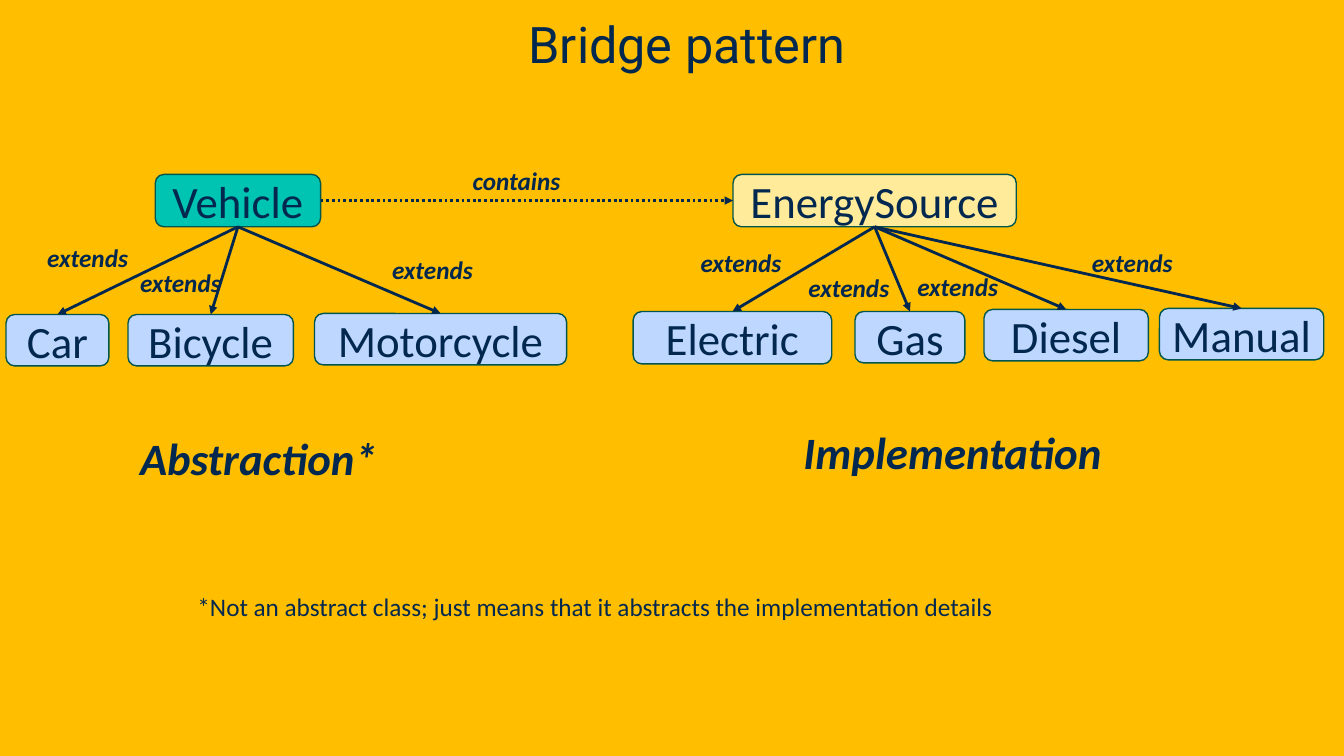
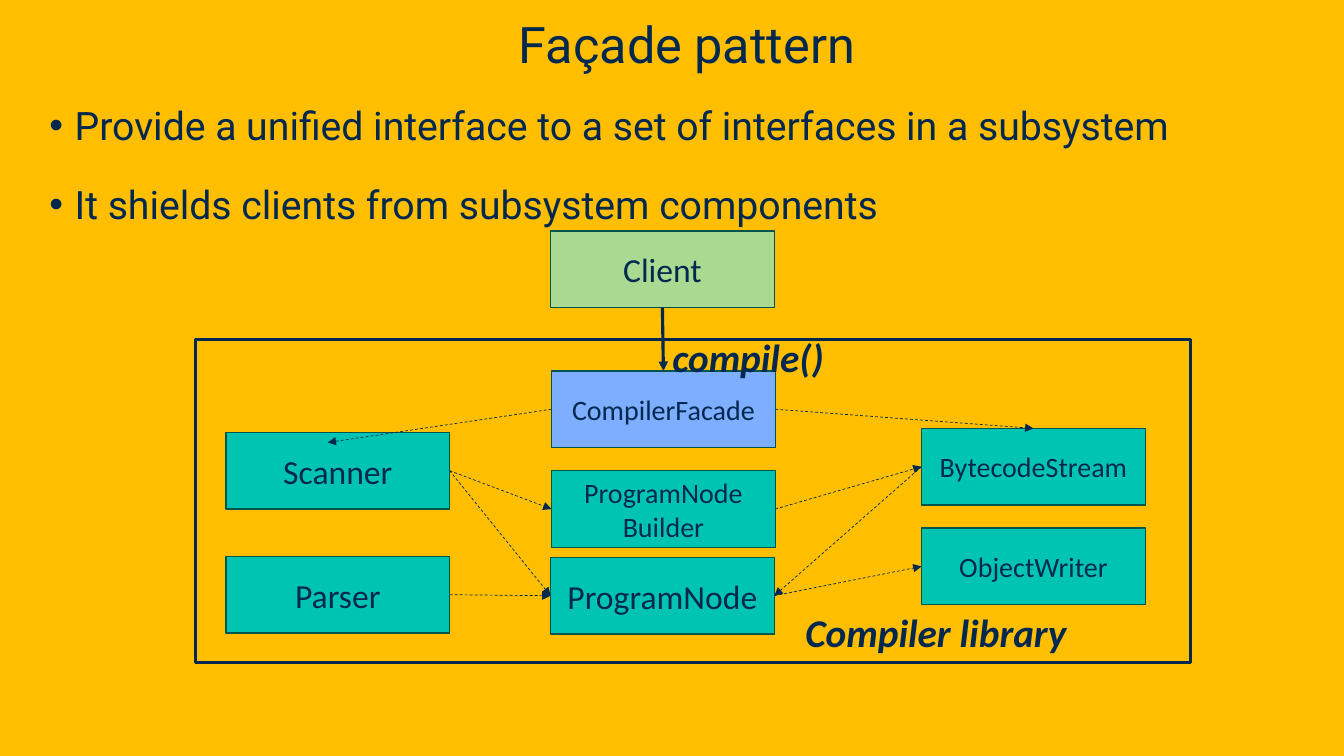
from dataclasses import dataclass

from lxml import etree
from pptx import Presentation
from pptx import util as u
from pptx.dml import color
from pptx.enum import dml, shapes, text
from pptx.oxml import ns


@dataclass(frozen=True)
class Theme:
    background: str = "FFBE00"
    ink: str = "022850"
    outline: str = "00564E"
    teal: str = "00C4B2"
    pale_blue: str = "BED7FF"
    blue: str = "7DAEFF"
    yellow: str = "FFEB99"
    green: str = "AADA91"
    heading_font: str = "Roboto"
    diagram_font: str = "Calibri"
    title_size: int = 36
    class_size: int = 32
    body_size: int = 28
    box_size: int = 24
    small_box_size: int = 20
    note_size: int = 18


THEME = Theme()
TITLE_ONLY, TITLE_AND_BODY = 5, 1
TOP, LEFT, BOTTOM, RIGHT = range(4)  # connection sites of a rectangle

# Bridge: name, fill, (left, top, width, height)
BRIDGE_CLASSES = [
    ("Vehicle", THEME.teal, (1.54, 1.73, 1.64, 0.52)),
    ("EnergySource", THEME.yellow, (7.27, 1.73, 2.81, 0.52)),
    ("Car", THEME.pale_blue, (0.06, 3.12, 1.02, 0.51)),
    ("Bicycle", THEME.pale_blue, (1.27, 3.12, 1.64, 0.51)),
    ("Motorcycle", THEME.pale_blue, (3.12, 3.11, 2.5, 0.51)),
    ("Electric", THEME.pale_blue, (6.28, 3.09, 1.97, 0.52)),
    ("Gas", THEME.pale_blue, (8.48, 3.09, 1.09, 0.51)),
    ("Diesel", THEME.pale_blue, (9.76, 3.07, 1.63, 0.51)),
    ("Manual", THEME.pale_blue, (11.5, 3.06, 1.63, 0.51)),
]
# Parent: each child with the place of its "extends" label
EXTENDS = {
    "Vehicle": [("Car", (0.37, 2.35)), ("Bicycle", (1.29, 2.6)),
                ("Motorcycle", (3.79, 2.47))],
    "EnergySource": [("Electric", (6.85, 2.4)), ("Gas", (7.92, 2.65)),
                     ("Diesel", (9, 2.64)), ("Manual", (10.73, 2.4))],
}
BRIDGE_CAPTIONS = [
    ("Abstraction*", (1.29, 4.22, 2.58, 0.64)),
    ("Implementation", (7.87, 4.16, 3.19, 0.64)),
]
BRIDGE_NOTE = "*Not an abstract class; just means that it abstracts the implementation details"

FACADE_POINTS = [
    "Provide a unified interface to a set of interfaces in a subsystem",
    "It shields clients from subsystem components",
]
# Facade: name, fill, text size, (left, top)
FACADE_BOX = (2.22, 0.76)
FACADE_CLASSES = [
    ("Client", THEME.green, THEME.box_size, (5.46, 2.29)),
    ("CompilerFacade", THEME.blue, THEME.small_box_size, (5.47, 3.68)),
    ("Scanner", THEME.teal, THEME.box_size, (2.24, 4.29)),
    ("Parser", THEME.teal, THEME.box_size, (2.24, 5.52)),
    ("ProgramNode", THEME.teal, THEME.box_size, (5.46, 5.53)),
    ("BytecodeStream", THEME.teal, THEME.small_box_size, (9.14, 4.25)),
    ("ProgramNode\nBuilder", THEME.teal, THEME.small_box_size, (5.47, 4.67)),
    ("ObjectWriter", THEME.teal, THEME.small_box_size, (9.14, 5.24)),
]
FACADE_USES = [
    ("Scanner", RIGHT, "ProgramNode\nBuilder", LEFT),
    ("Scanner", RIGHT, "ProgramNode", LEFT),
    ("Parser", RIGHT, "ProgramNode", LEFT),
    ("ProgramNode\nBuilder", RIGHT, "BytecodeStream", LEFT),
    ("BytecodeStream", LEFT, "ProgramNode", RIGHT),
    ("ProgramNode", RIGHT, "ObjectWriter", LEFT),
    ("CompilerFacade", RIGHT, "BytecodeStream", TOP),
]
SCANNER_ENTRY = (3.25, 4.39)
LIBRARY_FRAME = (1.94, 3.37, 9.87, 3.2)
FACADE_CAPTIONS = [
    ("Compiler library", (7.89, 5.99, 2.82, 0.57)),
    ("compile()", (6.57, 3.26, 1.72, 0.57)),
]


def rgb(value):
    return color.RGBColor.from_string(value)


def inches(values):
    return [u.Inches(value) for value in values]


def place(shape, area):
    shape.left, shape.top, shape.width, shape.height = inches(area)


def write(shape, content, size, font=THEME.diagram_font, emphasis=False,
          align=text.PP_ALIGN.LEFT, margin=0, indent=0, before=0, after=0, spacing=1.0):
    """Fill the shape with text, one paragraph per line."""
    shape.text_frame.text = content
    for paragraph in shape.text_frame.paragraphs:
        paragraph.alignment = align
        paragraph.space_before, paragraph.space_after = u.Pt(before), u.Pt(after)
        paragraph.line_spacing = spacing
        properties = paragraph._p.get_or_add_pPr()
        properties.set("marL", str(u.Inches(margin)))
        properties.set("indent", str(u.Inches(indent)))
        for run in paragraph.runs:
            run.font.name, run.font.size = font, u.Pt(size)
            run.font.bold = run.font.italic = emphasis
            run.font.color.rgb = rgb(THEME.ink)


def add_slide(presentation, layout, title):
    slide = presentation.slides.add_slide(presentation.slide_layouts[layout])
    shape = slide.shapes.title
    place(shape, (0, 0, 13.33, 0.76))
    frame = shape.text_frame
    frame.auto_size = text.MSO_AUTO_SIZE.NONE
    frame.vertical_anchor = text.MSO_ANCHOR.BOTTOM
    frame.margin_bottom = u.Inches(0.03)
    write(shape, title, THEME.title_size, font=THEME.heading_font,
          align=text.PP_ALIGN.CENTER, margin=0.3, before=25)
    return slide


def add_box(slide, kind, area, fill=None, line=THEME.outline, width=1):
    shape = slide.shapes.add_shape(kind, *inches(area))
    shape.shadow.inherit = False
    if fill:
        shape.fill.solid()
        shape.fill.fore_color.rgb = rgb(fill)
    else:
        shape.fill.background()
    shape.line.color.rgb = rgb(line)
    shape.line.width = u.Pt(width)
    return shape


def add_class(slide, kind, name, fill, size, area):
    shape = add_box(slide, kind, area, fill)
    shape.text_frame.vertical_anchor = text.MSO_ANCHOR.MIDDLE
    write(shape, name, size, align=text.PP_ALIGN.CENTER)
    return shape


def add_label(slide, content, area, size, emphasis=True):
    shape = slide.shapes.add_textbox(*inches(area))
    shape.text_frame.word_wrap = False
    shape.text_frame.auto_size = text.MSO_AUTO_SIZE.SHAPE_TO_FIT_TEXT
    write(shape, content, size, emphasis=emphasis)


def add_arrow(slide, start, start_site, width, end=None, end_site=TOP, point=None, dash=None):
    """Draw an arrow from a shape to another shape, or to a free point."""
    arrow = slide.shapes.add_connector(shapes.MSO_CONNECTOR.STRAIGHT, 0, 0, 0, 0)
    arrow.begin_connect(start, start_site)
    if point:
        arrow.end_x, arrow.end_y = inches(point)
    else:
        arrow.end_connect(end, end_site)
    arrow.line.color.rgb = rgb(THEME.ink)
    arrow.line.width = u.Pt(width)
    if dash:
        arrow.line.dash_style = dash
    etree.SubElement(arrow.line._get_or_add_ln(), ns.qn("a:tailEnd"), type="triangle")
    etree.SubElement(arrow._element.spPr, ns.qn("a:effectLst"))


def build_bridge(presentation):
    slide = add_slide(presentation, TITLE_ONLY, "Bridge pattern")
    classes = {name: add_class(slide, shapes.MSO_SHAPE.ROUNDED_RECTANGLE, name, fill,
                               THEME.class_size, area)
               for name, fill, area in BRIDGE_CLASSES}
    for parent, children in EXTENDS.items():
        for child, label_at in children:
            add_arrow(slide, classes[parent], BOTTOM, 2, classes[child])
            add_label(slide, "extends", (*label_at, 1.02, 0.4), THEME.note_size)
    add_arrow(slide, classes["Vehicle"], RIGHT, 2, classes["EnergySource"], LEFT,
              dash=dml.MSO_LINE.ROUND_DOT)
    add_label(slide, "contains", (4.59, 1.59, 1.08, 0.4), THEME.note_size)
    for caption, area in BRIDGE_CAPTIONS:
        add_label(slide, caption, area, THEME.class_size)
    add_label(slide, BRIDGE_NOTE, (1.86, 5.82, 8.18, 0.4), THEME.note_size, emphasis=False)


def build_facade(presentation):
    slide = add_slide(presentation, TITLE_AND_BODY, "Façade pattern")
    body = slide.placeholders[1]
    place(body, (0.39, 0.86, 12.52, 5.71))
    body.text_frame.auto_size = text.MSO_AUTO_SIZE.NONE
    write(body, "\n".join(FACADE_POINTS), THEME.body_size, font=THEME.heading_font,
          margin=0.25, indent=-0.25, before=10, after=6, spacing=1.2)

    classes = {name: add_class(slide, shapes.MSO_SHAPE.RECTANGLE, name, fill, size,
                               (*corner, *FACADE_BOX))
               for name, fill, size, corner in FACADE_CLASSES}
    add_box(slide, shapes.MSO_SHAPE.RECTANGLE, LIBRARY_FRAME, line=THEME.ink, width=2)
    facade = classes["CompilerFacade"]
    add_arrow(slide, classes["Client"], BOTTOM, 2.25, facade)
    for user, user_site, used, used_site in FACADE_USES:
        add_arrow(slide, classes[user], user_site, 0.5, classes[used], used_site,
                  dash=dml.MSO_LINE.DASH)
    add_arrow(slide, facade, LEFT, 0.5, point=SCANNER_ENTRY, dash=dml.MSO_LINE.DASH)
    for caption, area in FACADE_CAPTIONS:
        add_label(slide, caption, area, THEME.body_size)


def main():
    presentation = Presentation()
    presentation.slide_width, presentation.slide_height = inches((13.33, 7.5))
    background = presentation.slide_master.background.fill
    background.solid()
    background.fore_color.rgb = rgb(THEME.background)
    build_bridge(presentation)
    build_facade(presentation)
    presentation.save("out.pptx")


if __name__ == "__main__":
    main()
